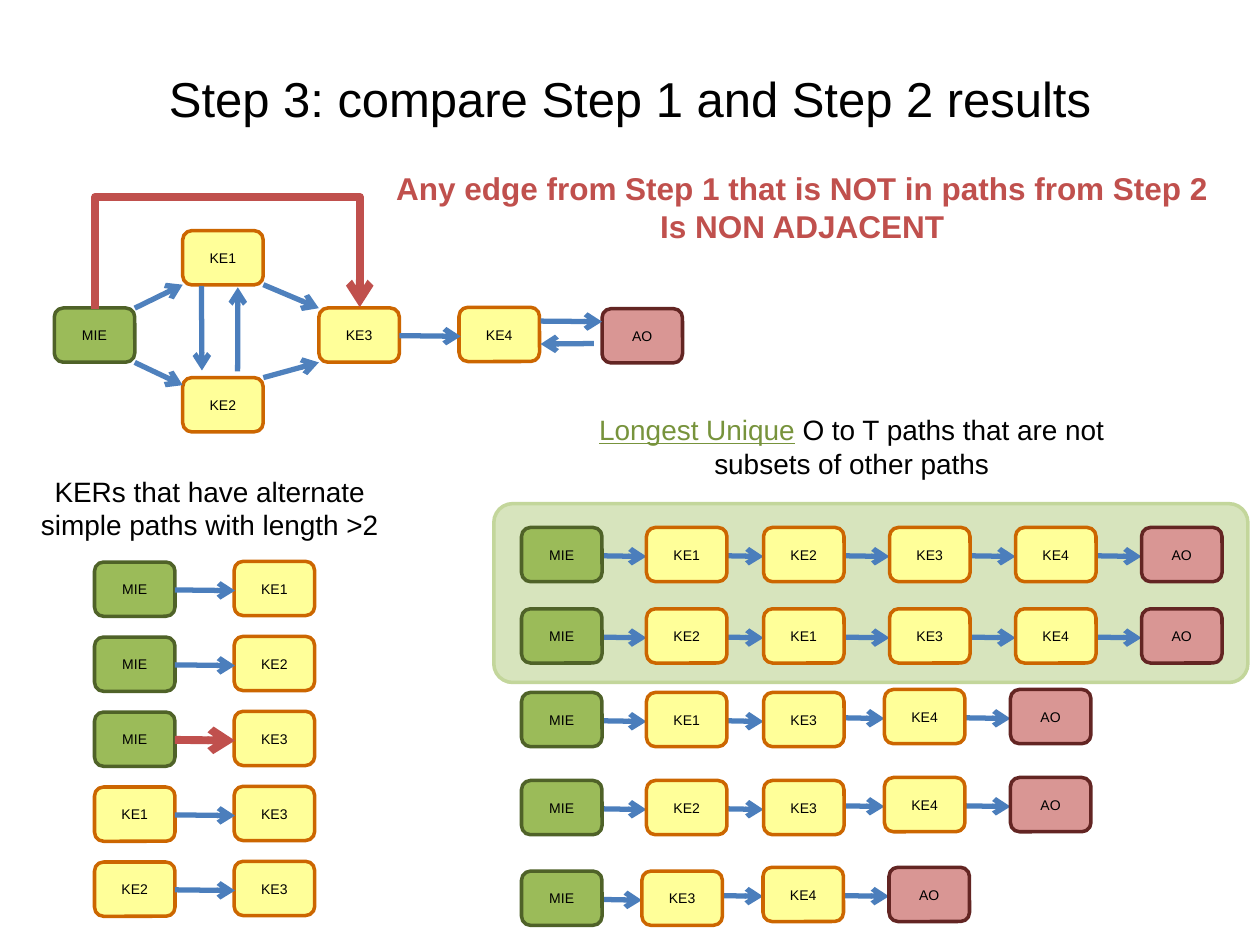
import pptx
import pptx.util
import pptx.dml.color
import pptx.enum.shapes
import pptx.enum.text
import pptx.oxml
import pptx.oxml.ns
from lxml import etree

Pt = pptx.util.Pt
SHAPES = pptx.enum.shapes.MSO_SHAPE
LINKS = pptx.enum.shapes.MSO_CONNECTOR

COLORS = {
    "black": "000000", "red": "C0504D", "blue": "4B7EBC", "light_blue": "4F81BD",
    "olive": "77933C", "panel": "D7E4BD", "panel_edge": "C3D69B",
}
START, KEY, OUTCOME = ("9BBB59", "4F6228"), ("FFFF99", "CC6600"), ("D99694", "632523")
STYLES = {"MIE": START, "AO": OUTCOME}
NODE_W, NODE_H = 46, 31

TITLE = ("Step 3: compare Step 1 and Step 2 results", (36, 21.6, 648, 68.4), 28)
PAIRS_LABEL = ("KERs that have alternate simple paths with length >2", (11.5, 256, 216.7, 68.4), 16)
FINDING = (
    ["Any edge from Step 1 that is NOT in paths from Step 2", "Is NON ADJACENT"],
    (218.7, 84.2, 479.5, 68.4),
)
PATHS_LABEL = (
    [[("Longest Unique", "olive", True), (" O to T paths that are not subsets of other paths", "black", False)]],
    (321.1, 220.7, 331.2, 68.4),
)

NETWORK = {
    "MIE": (31, 176), "KE3": (182.2, 176), "KE2": (104.4, 215.8),
    "KE1": (104.4, 131.8), "AO": (344, 176.4), "KE4": (262.3, 175.6),
}
NETWORK_ARROWS = [
    ((77, 176.1), (104.4, 162.7), "light_blue"),
    ((77, 207.1), (104.4, 220.1), "light_blue"),
    ((150.5, 162.7), (182.2, 176.1), "light_blue"),
    ((150.5, 215.8), (182.2, 207.1), "light_blue"),
    ((308.9, 183.5), (344, 183.8), "blue"),
    ((339.4, 196.3), (308.9, 196.6), "light_blue"),
    ((115.1, 163.4), (115.4, 211.7), "blue"),
    ((135.8, 212.2), (135.9, 164.2), "blue"),
    ((228.2, 191.8), (263.3, 192.2), "blue"),
]

PAIRS = [("MIE", "KE1"), ("MIE", "KE2"), ("MIE", "KE3"), ("KE1", "KE3"), ("KE2", "KE3")]
NON_ADJACENT = ("MIE", "KE3")
PAIR_LEFTS, PAIR_TOP, PAIR_PITCH, PAIR_LIFT = (54, 133.8), 321.2, 42.85, 0.4

LONG = (298, 369.4, 436.3, 508.3, 580.3, 652.3)
SHORT = (298, 369.4, 436.3, 505.4, 577.4)
SHORTEST = (298, 366.8, 436, 508)
PATHS = [
    (301.4, 0, LONG, ["MIE", "KE1", "KE2", "KE3", "KE4", "AO"]),
    (347.9, 0, LONG, ["MIE", "KE2", "KE1", "KE3", "KE4", "AO"]),
    (395.7, 1.7, SHORT, ["MIE", "KE1", "KE3", "KE4", "AO"]),
    (446, 1.7, SHORT, ["MIE", "KE2", "KE3", "KE4", "AO"]),
    (497.8, 2.2, SHORTEST, ["MIE", "KE3", "KE4", "AO"]),
]


def rgb(value):
    return pptx.dml.color.RGBColor.from_string(value)


def write(shape, paragraphs, size=8, color="black", bold=False):
    frame = shape.text_frame
    frame.word_wrap = True
    frame.vertical_anchor = pptx.enum.text.MSO_ANCHOR.MIDDLE
    for index, spans in enumerate(paragraphs):
        para = frame.add_paragraph() if index else frame.paragraphs[0]
        para.alignment = pptx.enum.text.PP_ALIGN.CENTER
        if isinstance(spans, str):
            spans = [(spans, color, False)]
        for text, name, underline in spans:
            span = para.add_run()
            span.text = text
            span.font.name, span.font.size = "Arial", Pt(size)
            span.font.bold = bold
            span.font.underline = underline
            span.font.color.rgb = rgb(COLORS[name])


def add_text(paragraphs, place, **style):
    write(page.shapes.add_textbox(*map(Pt, place)), paragraphs, **style)


def add_round(shapes, place, fill, edge):
    box = shapes.add_shape(SHAPES.ROUNDED_RECTANGLE, *map(Pt, place))
    box.shadow.inherit = False
    box.fill.solid()
    box.fill.fore_color.rgb = rgb(fill)
    box.line.color.rgb = rgb(edge)
    box.line.width = Pt(2)
    return box


def add_node(shapes, name, left, top):
    box = add_round(shapes, (left, top, NODE_W, NODE_H), *STYLES.get(name, KEY))
    write(box, [name])


def add_arrow(shapes, start, end, color="blue", width=3, kind=LINKS.STRAIGHT):
    arrow = shapes.add_connector(kind, *map(Pt, start + end))
    arrow.line.color.rgb = rgb(COLORS[color])
    arrow.line.width = Pt(width)
    etree.SubElement(arrow.line._get_or_add_ln(), pptx.oxml.ns.qn("a:tailEnd"), type="arrow")
    etree.SubElement(arrow._element.spPr, pptx.oxml.ns.qn("a:effectLst"))
    return arrow


def add_detour(shapes, left, right, base, rise):
    depth, span = 0.88, right - left
    middle = (left + right) / 2
    start = (middle - depth / 2, base - span / 2)
    end = (middle + depth / 2, base + span / 2)
    arrow = add_arrow(shapes, start, end, "red", 4.5, LINKS.ELBOW)
    properties = arrow._element.spPr
    frame = properties.find(pptx.oxml.ns.qn("a:xfrm"))
    for key, value in (("rot", "5400000"), ("flipH", "1"), ("flipV", "1")):
        frame.set(key, value)
    geometry = properties.find(pptx.oxml.ns.qn("a:prstGeom"))
    guides = geometry.find(pptx.oxml.ns.qn("a:avLst"))
    if guides is None:
        guides = etree.SubElement(geometry, pptx.oxml.ns.qn("a:avLst"))
    etree.SubElement(guides, pptx.oxml.ns.qn("a:gd"), name="adj1", fmla=f"val {round(rise / depth * 100000)}")


deck = pptx.Presentation()
deck.slide_width, deck.slide_height = Pt(720), Pt(540)
page = deck.slides.add_slide(deck.slide_layouts[6])

add_text([TITLE[0]], TITLE[1], size=TITLE[2])

for name, corner in NETWORK.items():
    add_node(page.shapes, name, *corner)
for start, end, color in NETWORK_ARROWS:
    add_arrow(page.shapes, start, end, color)
add_detour(page.shapes, 54.4, 205.6, 176, 64)

panel = add_round(page.shapes, (282.2, 287.8, 430.9, 102.2), COLORS["panel"], COLORS["panel_edge"])
panel.adjustments[0] = 0.105

for top, lift, lefts, names in PATHS:
    row = page.shapes.add_group_shape().shapes
    tops = [top - lift if name in ("KE4", "AO") else top for name in names]
    for start, end, node_top in zip(lefts, lefts[1:], tops[1:]):
        middle = node_top + NODE_H / 2 + 0.7
        add_arrow(row, (start + NODE_W, middle), (end, middle + 0.4))
    for name, left, node_top in zip(names, lefts, tops):
        add_node(row, name, left, node_top)

for index, pair in enumerate(PAIRS):
    row = page.shapes.add_group_shape().shapes
    top = PAIR_TOP + index * PAIR_PITCH
    for side, (name, left) in enumerate(zip(pair, PAIR_LEFTS)):
        add_node(row, name, left, top - side * PAIR_LIFT)
    middle = top + NODE_H / 2 + 0.4
    color, width = ("red", 4.5) if pair == NON_ADJACENT else ("blue", 3)
    add_arrow(row, (PAIR_LEFTS[0] + NODE_W, middle), (PAIR_LEFTS[1] + 0.5, middle + 0.4), color, width)

add_text([PAIRS_LABEL[0]], PAIRS_LABEL[1], size=PAIRS_LABEL[2])
add_text(*FINDING, size=18, color="red", bold=True)
add_text(*PATHS_LABEL, size=16)

deck.save("out.pptx")
